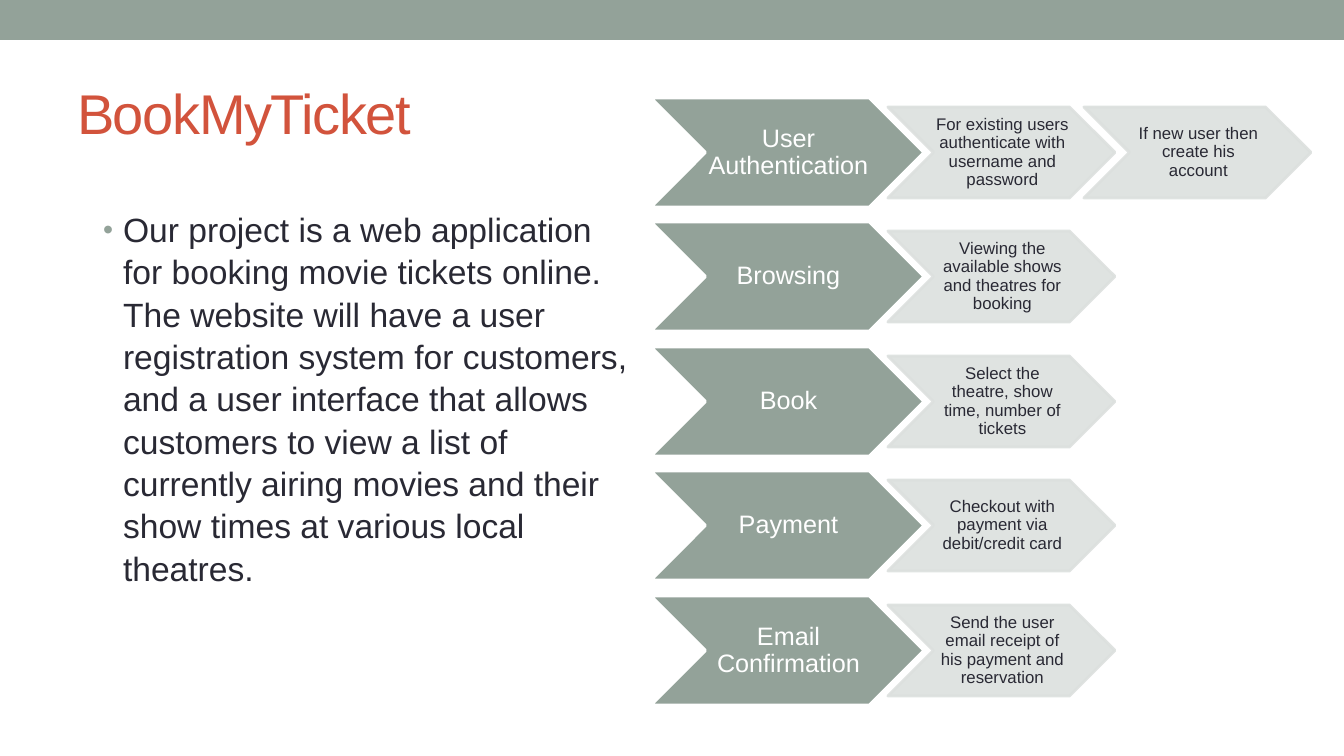
from lxml.etree import SubElement
from pptx import Presentation
from pptx.dml.color import RGBColor
from pptx.enum.shapes import MSO_SHAPE
from pptx.enum.text import MSO_ANCHOR, MSO_AUTO_SIZE, PP_ALIGN
from pptx.oxml.ns import qn
from pptx.util import Pt

PIXEL = 914400 / 100.8
SAGE = RGBColor(0x93, 0xA2, 0x99)
MIST = RGBColor(0xDC, 0xE0, 0xDE)
RUST = RGBColor(0xD2, 0x53, 0x3C)
INK = RGBColor(0x29, 0x29, 0x34)
WHITE = RGBColor(0xFF, 0xFF, 0xFF)

SUMMARY = (
    "Our project is a web application for booking movie tickets online. "
    "The website will have a user registration system for customers, and a user "
    "interface that allows customers to view a list of currently airing movies "
    "and their show times at various local theatres."
)
STAGES = [
    ("User Authentication", ["For existing users authenticate with username and password",
                             "If new user then create his account"]),
    ("Browsing", ["Viewing the available shows and theatres for booking"]),
    ("Book", ["Select the theatre, show time, number of tickets"]),
    ("Payment", ["Checkout with payment via debit/credit card"]),
    ("Email Confirmation", ["Send the user email receipt of his payment and reservation"]),
]


def px(length):
    """Turn pixels into EMU."""
    return round(length * PIXEL)


def place(shape, box):
    """Move a shape to a (left, top, width, height) box in pixels."""
    shape.left, shape.top, shape.width, shape.height = map(px, box)


def write(frame, text, size, color, align=PP_ALIGN.LEFT, anchor=MSO_ANCHOR.MIDDLE,
          leading=1.0, tracking=None):
    """Write one formatted paragraph and return it."""
    frame.word_wrap = True
    frame.auto_size = MSO_AUTO_SIZE.NONE
    frame.vertical_anchor = anchor
    para = frame.paragraphs[0]
    para.alignment = align
    para.line_spacing = leading
    span = para.add_run()
    span.text = text
    span.font.name = "Arial"
    span.font.size = Pt(size)
    span.font.color.rgb = color
    if tracking is not None:
        span.font._element.set("spc", str(tracking * 100))
    return para


def add_bullet(para, indent, color):
    """Give a paragraph a coloured round bullet with a hanging indent."""
    props = para._p.get_or_add_pPr()
    props.set("marL", str(px(indent)))
    props.set("indent", str(-px(indent)))
    tint = SubElement(props, qn("a:buClr"))
    SubElement(tint, qn("a:srgbClr"), val=str(color))
    SubElement(props, qn("a:buSzPct"), val="85000")
    SubElement(props, qn("a:buFont"), typeface="Arial")
    SubElement(props, qn("a:buChar"), char="\u2022")


def add_panel(page, kind, box, fill, outline=None, opacity=100):
    """Add a filled shape with an optional outline and transparency."""
    shape = page.shapes.add_shape(kind, *map(px, box))
    shape.shadow.inherit = False
    shape.fill.solid()
    shape.fill.fore_color.rgb = fill
    if outline is None:
        shape.line.fill.background()
    else:
        shape.line.color.rgb = outline
        shape.line.width = Pt(2.08)
    if opacity < 100:
        for color in shape._element.spPr.iter(qn("a:srgbClr")):
            SubElement(color, qn("a:alpha"), val=str(opacity * 1000))
    return shape


def add_chevron(page, box, text, size, color, fill, outline, opacity=100):
    """Add a chevron with centred text between its notch and its point."""
    chevron = add_panel(page, MSO_SHAPE.CHEVRON, box, fill, outline, opacity)
    frame = chevron.text_frame
    frame.margin_left, frame.margin_right = px(2), 0
    frame.margin_top = frame.margin_bottom = px(1)
    write(frame, text, size, color, align=PP_ALIGN.CENTER, leading=0.9)


def add_summary(page, title_box, body_box):
    """Fill the title and the bulleted summary."""
    title, body = page.shapes.title, page.placeholders[1]
    place(title, title_box)
    write(title.text_frame, "BookMyTicket", 40, RUST, tracking=-1)
    place(body, body_box)
    para = write(body.text_frame, SUMMARY, 24, INK, anchor=MSO_ANCHOR.TOP, leading=1.05)
    add_bullet(para, 20, SAGE)


def add_process(page, box):
    """Draw one row per stage, with its details to the right."""
    left, top, width, height = box
    stage_width, stage_height = 273, 109
    detail_width, detail_height = 227, 91
    detail_left, detail_pitch = left + 237, 196
    inset = (stage_height - detail_height) // 2
    for row, (stage, details) in enumerate(STAGES):
        row_top = top + row * (height - stage_height) // (len(STAGES) - 1)
        add_chevron(page, (left, row_top, stage_width, stage_height),
                    stage, 18, WHITE, SAGE, WHITE)
        for column, detail in enumerate(details):
            spot = (detail_left + column * detail_pitch, row_top + inset,
                    detail_width, detail_height)
            add_chevron(page, spot, detail, 12, INK, MIST, MIST, opacity=90)


def main():
    """Build the deck and save it."""
    deck = Presentation()
    deck.slide_width, deck.slide_height = px(1344), px(756)
    page = deck.slides.add_slide(deck.slide_layouts[1])
    add_panel(page, MSO_SHAPE.RECTANGLE, (0, 0, 1344, 40), SAGE)
    add_summary(page, (67, 58, 1210, 109), (93, 202, 548, 480))
    add_process(page, (651, 98, 660, 607))
    deck.save("out.pptx")


main()
